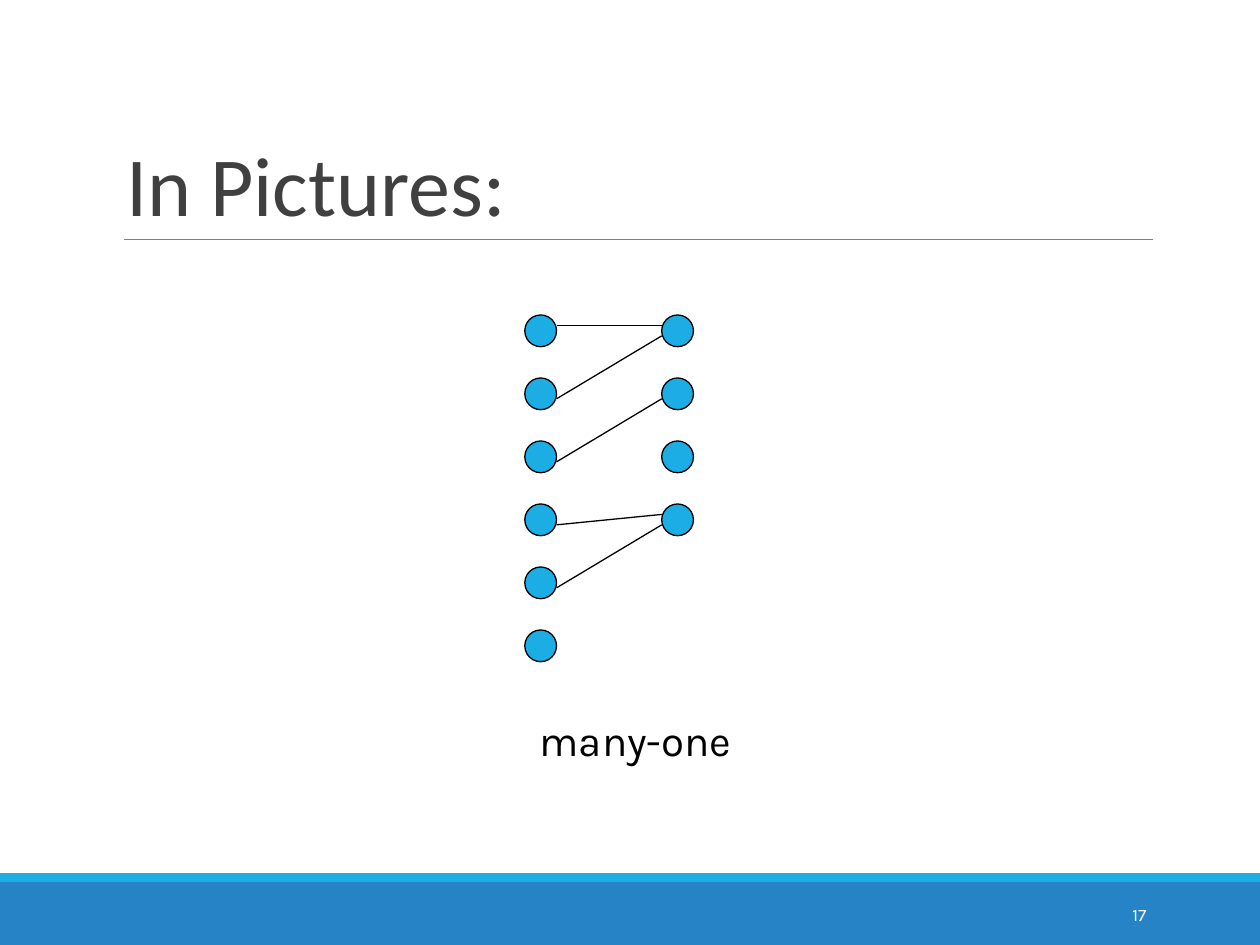
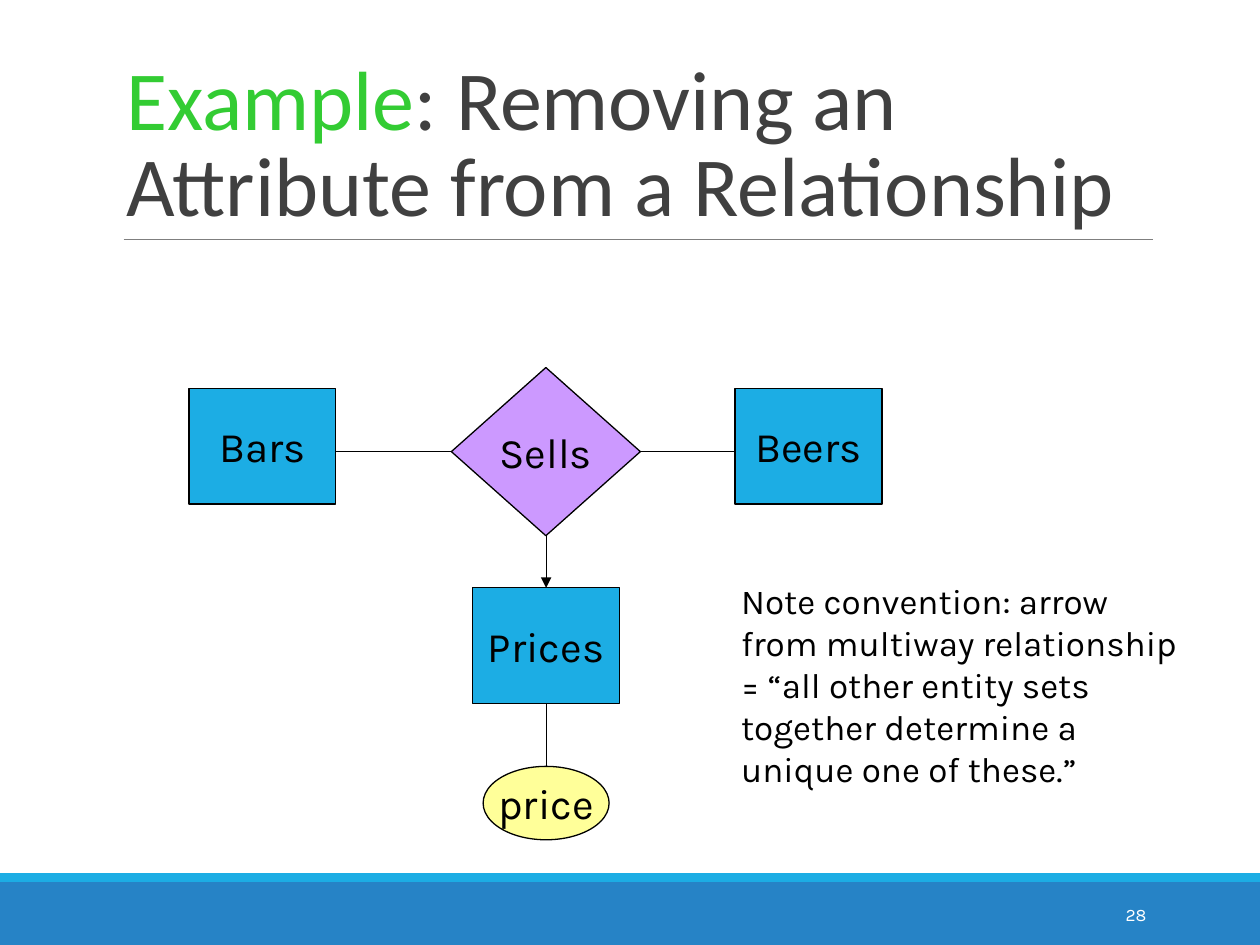
from dataclasses import dataclass

from lxml.etree import SubElement
from pptx import Presentation
from pptx.dml.color import RGBColor
from pptx.enum.shapes import MSO_CONNECTOR, MSO_SHAPE
from pptx.enum.text import MSO_ANCHOR, MSO_AUTO_SIZE, PP_ALIGN
from pptx.oxml.ns import qn
from pptx.util import Cm, Pt


@dataclass(frozen=True)
class Theme:
    title_font: str = "Calibri"
    body_font: str = "Karla"
    title_size: int = 48
    label_size: int = 24
    note_size: int = 20
    number_size: int = 10
    title: str = "404040"
    example: str = "33CC33"
    rule: str = "7F7F7F"
    band: str = "2683C6"
    accent: str = "1CADE4"
    relationship: str = "CC99FF"
    attribute: str = "FFFF99"
    ink: str = "000000"
    paper: str = "FFFFFF"


THEME = Theme()


def draw_box(slide, box, kind=None, fill=None, outline=None, lines=(),
             size=THEME.label_size, color=THEME.ink,
             align=PP_ALIGN.CENTER, anchor=MSO_ANCHOR.MIDDLE):
    """Add a preset shape, or a text box when no kind is given; box is in cm."""
    place = [Cm(value) for value in box]
    if kind is None:
        shape = slide.shapes.add_textbox(*place)
    else:
        shape = slide.shapes.add_shape(kind, *place)
        shape.shadow.inherit = False
        shape.fill.solid()
        shape.fill.fore_color.rgb = RGBColor.from_string(fill)
        if outline:
            shape.line.color.rgb = RGBColor.from_string(outline)
            shape.line.width = Pt(0.75)
        else:
            shape.line.fill.background()
    frame = shape.text_frame
    frame.word_wrap = False
    frame.vertical_anchor = anchor
    for index, text in enumerate(lines):
        paragraph = frame.add_paragraph() if index else frame.paragraphs[0]
        paragraph.text = text
        paragraph.alignment = align
        paragraph.font.name = THEME.body_font
        paragraph.font.size = Pt(size)
        paragraph.font.color.rgb = RGBColor.from_string(color)


def draw_line(slide, ends, color=THEME.ink, width=0.75, arrow=False):
    """Add a straight line between (x1, y1, x2, y2) in cm."""
    line = slide.shapes.add_connector(
        MSO_CONNECTOR.STRAIGHT, *[Cm(value) for value in ends])
    line.line.color.rgb = RGBColor.from_string(color)
    line.line.width = Pt(width)
    properties = line.element.spPr
    if arrow:
        SubElement(properties.find(qn("a:ln")), qn("a:tailEnd"), type="triangle")
    SubElement(properties, qn("a:effectLst"))


deck = Presentation()
deck.slide_width, deck.slide_height = Cm(25.4), Cm(19.05)
title_only = deck.slide_layouts[5]

# Frame shared by both slides: bands, rule, title and number
headings = [
    ("17", [("In Pictures:", THEME.title)]),
    ("28", [("Example", THEME.example),
            (": Removing an Attribute from a Relationship", THEME.title)]),
]
for number, title_parts in headings:
    slide = deck.slides.add_slide(title_only)
    draw_box(slide, (0, 17.78, 25.4, 1.27), MSO_SHAPE.RECTANGLE, THEME.band)
    draw_box(slide, (0, 17.6, 25.4, 0.18), MSO_SHAPE.RECTANGLE, THEME.accent)
    draw_line(slide, (2.49, 4.83, 23.24, 4.83), THEME.rule, 0.5)
    draw_box(slide, (20.62, 17.93, 2.74, 1.01), lines=[number],
             size=THEME.number_size, color=THEME.paper, align=PP_ALIGN.RIGHT)

    title = slide.shapes.title
    title.left, title.top = Cm(2.29), Cm(0.79)
    title.width, title.height = Cm(20.95), Cm(4.04)
    title.text_frame.auto_size = MSO_AUTO_SIZE.NONE
    title.text_frame.vertical_anchor = MSO_ANCHOR.BOTTOM
    heading = title.text_frame.paragraphs[0]
    heading.alignment = PP_ALIGN.LEFT
    heading.line_spacing = 0.85
    heading.font.name = THEME.title_font
    heading.font.size = Pt(THEME.title_size)
    for text, color in title_parts:
        part = heading.add_run()
        part.text = text
        part.font.color.rgb = RGBColor.from_string(color)

mapping_slide, relationship_slide = deck.slides

# Many-one mapping between two columns of entities
DOT = 0.64
ROW_TOP, ROW_STEP = 6.35, 1.27
MANY_LEFT, ONE_LEFT = 10.58, 13.34
UPPER, LOWER = 0.21, 0.42  # where a link meets its dot, below the dot's top

for column_left, count in [(MANY_LEFT, 6), (ONE_LEFT, 4)]:
    for row in range(count):
        draw_box(mapping_slide, (column_left, ROW_TOP + row * ROW_STEP, DOT, DOT),
                 MSO_SHAPE.OVAL, THEME.accent, THEME.ink)

links = [(0, UPPER, 0, UPPER), (1, LOWER, 0, LOWER), (2, LOWER, 1, LOWER),
         (3, LOWER, 3, UPPER), (4, LOWER, 3, LOWER)]
for many_row, many_drop, one_row, one_drop in links:
    draw_line(mapping_slide, (MANY_LEFT + DOT, ROW_TOP + many_row * ROW_STEP + many_drop,
                              ONE_LEFT, ROW_TOP + one_row * ROW_STEP + one_drop))

draw_box(mapping_slide, (10.63, 14.28, 4.5, 1.27), lines=["many-one"],
         align=PP_ALIGN.LEFT, anchor=MSO_ANCHOR.TOP)

# Relationship with its entity sets and attribute
ENTITY_WIDTH, ENTITY_HEIGHT = 2.96, 2.33
AXIS_X, AXIS_Y = 11.01, 9.1

for name, left, top in [("Bars", 3.81, 7.83), ("Beers", 14.82, 7.83),
                        ("Prices", AXIS_X - ENTITY_WIDTH / 2, 11.85)]:
    draw_box(relationship_slide, (left, top, ENTITY_WIDTH, ENTITY_HEIGHT),
             MSO_SHAPE.RECTANGLE, THEME.accent, THEME.ink, [name])
draw_box(relationship_slide, (9.1, 7.41, 3.81, 3.39),
         MSO_SHAPE.DIAMOND, THEME.relationship, THEME.ink, ["Sells"])
draw_box(relationship_slide, (9.74, 15.45, 2.54, 1.48),
         MSO_SHAPE.OVAL, THEME.attribute, THEME.ink, ["price"])

draw_line(relationship_slide, (9.1, AXIS_Y, 6.77, AXIS_Y))
draw_line(relationship_slide, (12.91, AXIS_Y, 14.82, AXIS_Y))
draw_line(relationship_slide, (AXIS_X, 10.8, AXIS_X, 11.85), arrow=True)
draw_line(relationship_slide, (AXIS_X, 14.18, AXIS_X, 15.45))

draw_box(relationship_slide, (14.69, 11.56, 9.5, 4.5),
         lines=["Note convention: arrow",
                "from multiway relationship",
                "= “all other entity sets",
                "together determine a",
                "unique one of these.”"],
         size=THEME.note_size, align=PP_ALIGN.LEFT, anchor=MSO_ANCHOR.TOP)

deck.save("out.pptx")
